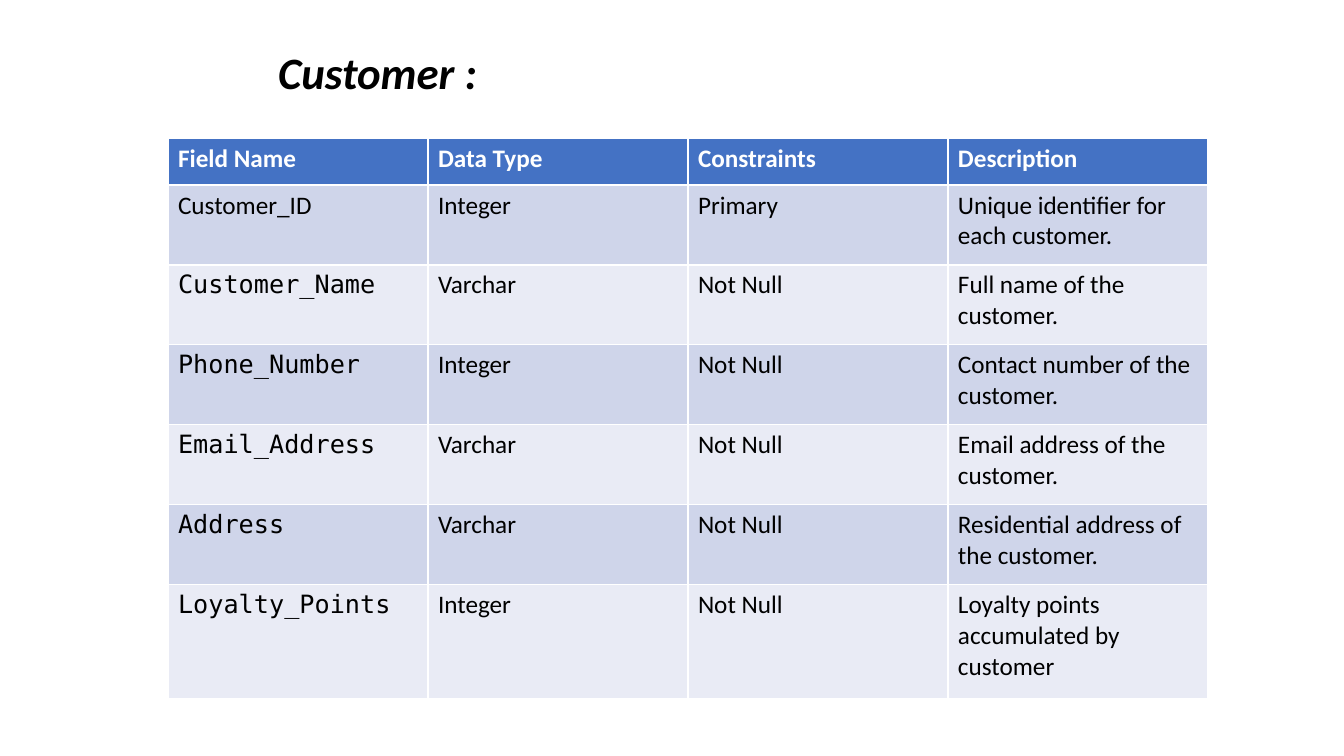
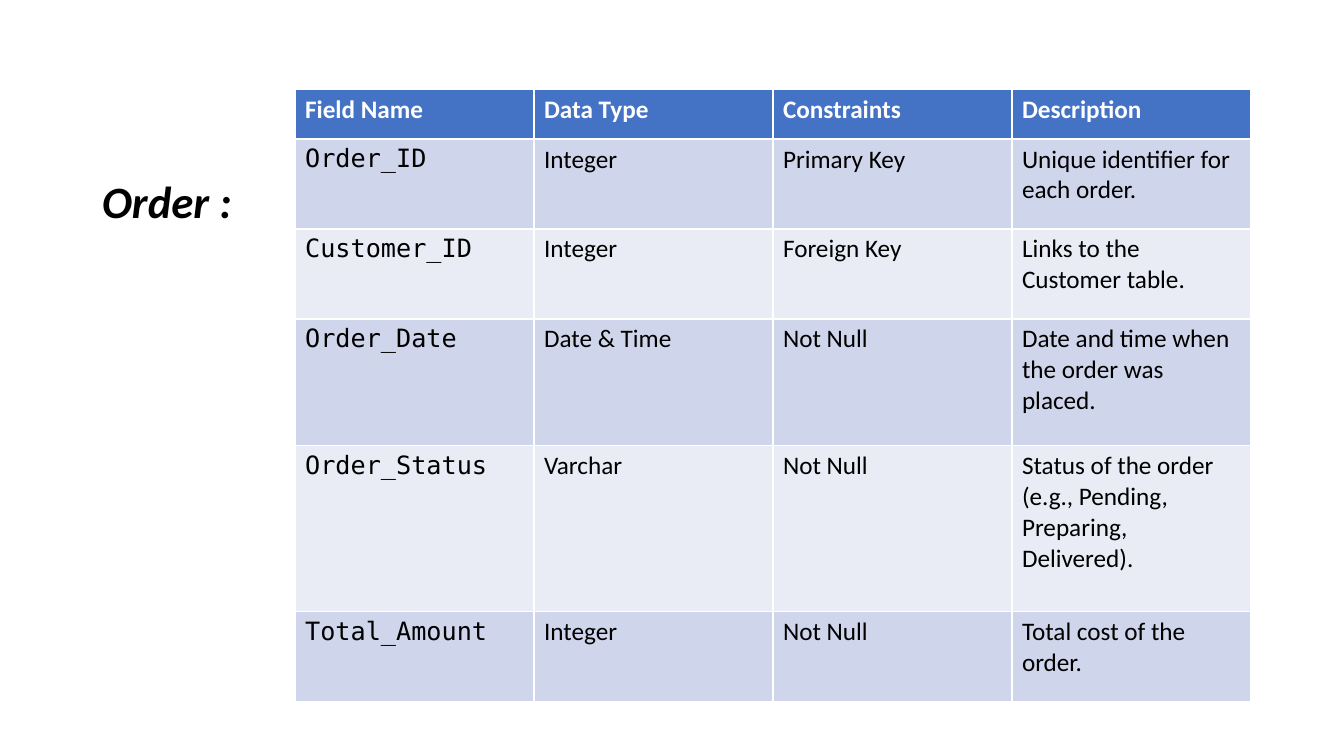
from pptx import Presentation
from pptx.dml.color import RGBColor
from pptx.enum.text import MSO_ANCHOR, MSO_AUTO_SIZE, PP_ALIGN
from pptx.util import Emu, Pt

PAGE_WIDTH, PAGE_HEIGHT = 1344, 756
EMU_PER_PX = 12192000 / PAGE_WIDTH
TITLE_ONLY = 5

BLACK = RGBColor(0x00, 0x00, 0x00)
WHITE = RGBColor(0xFF, 0xFF, 0xFF)
HEADER_BLUE = RGBColor(0x44, 0x72, 0xC4)
BAND_COLORS = (RGBColor(0xCF, 0xD5, 0xEA), RGBColor(0xE9, 0xEB, 0xF5))

TEXT_FONT = "Calibri"
CODE_FONT = "DejaVu Sans Mono"
HEADINGS = ("Field Name", "Data Type", "Constraints", "Description")

CUSTOMER_FIELDS = (
    ("Customer_ID", "Integer", "Primary", "Unique identifier for each customer."),
    ("Customer_Name", "Varchar", "Not Null", "Full name of the customer."),
    ("Phone_Number", "Integer", "Not Null", "Contact number of the customer."),
    ("Email_Address", "Varchar", "Not Null", "Email address of the customer."),
    ("Address", "Varchar", "Not Null", "Residential address of the customer."),
    ("Loyalty_Points", "Integer", "Not Null", "Loyalty points accumulated by customer"),
)
ORDER_FIELDS = (
    ("Order_ID", "Integer", "Primary Key", "Unique identifier for each order."),
    ("Customer_ID", "Integer", "Foreign Key", "Links to the Customer table."),
    ("Order_Date", "Date & Time", "Not Null", "Date and time when the order was placed."),
    ("Order_Status", "Varchar", "Not Null",
     "Status of the order (e.g., Pending, Preparing, Delivered)."),
    ("Total_Amount", "Integer", "Not Null", "Total cost of the order."),
)


def px(length):
    return Emu(round(length * EMU_PER_PX))


def set_font(para, size, color, name=TEXT_FONT, bold=False, italic=False):
    font = para.font
    font.name, font.size = name, Pt(size)
    font.bold, font.italic = bold, italic
    font.color.rgb = color


def place_title(page, text, box):
    title = page.shapes.title
    title.left, title.top, title.width, title.height = map(px, box)
    frame = title.text_frame
    frame.text = text
    frame.word_wrap = True
    frame.auto_size = MSO_AUTO_SIZE.NONE
    frame.vertical_anchor = MSO_ANCHOR.MIDDLE
    para = frame.paragraphs[0]
    para.alignment = PP_ALIGN.LEFT
    para.line_spacing = 0.9
    set_font(para, 32, BLACK, bold=True, italic=True)


def fill_cell(cell, text, color):
    cell.text = text
    cell.fill.solid()
    cell.fill.fore_color.rgb = color
    return cell.text_frame.paragraphs[0]


def place_field_table(page, fields, origin, column_width, row_heights, first_code_row):
    """Field names are set in the code font from first_code_row on."""
    left, top = origin
    columns = len(HEADINGS)
    table = page.shapes.add_table(
        len(row_heights), columns, px(left), px(top),
        px(column_width * columns), px(sum(row_heights))).table
    for column in table.columns:
        column.width = px(column_width)
    for row, height in zip(table.rows, row_heights):
        row.height = px(height)

    for column, heading in enumerate(HEADINGS):
        para = fill_cell(table.cell(0, column), heading, HEADER_BLUE)
        set_font(para, 18, WHITE, bold=True)
    for row, field in enumerate(fields, start=1):
        band = BAND_COLORS[(row - 1) % 2]
        for column, text in enumerate(field):
            is_code = column == 0 and row >= first_code_row
            para = fill_cell(table.cell(row, column), text, band)
            set_font(para, 18, BLACK, CODE_FONT if is_code else TEXT_FONT)


def add_entity_page(deck, title, title_box, **table_options):
    page = deck.slides.add_slide(deck.slide_layouts[TITLE_ONLY])
    place_title(page, title, title_box)
    place_field_table(page, **table_options)


def main():
    deck = Presentation()
    deck.slide_width, deck.slide_height = px(PAGE_WIDTH), px(PAGE_HEIGHT)
    add_entity_page(
        deck, "Customer :", (268, 19, 307, 112),
        fields=CUSTOMER_FIELDS, origin=(168, 138), column_width=260,
        row_heights=(47, 80, 80, 80, 80, 80, 114), first_code_row=2)
    add_entity_page(
        deck, "Order :", (92, 159, 160, 89),
        fields=ORDER_FIELDS, origin=(295, 89), column_width=239,
        row_heights=(50, 90, 90, 127, 166, 90), first_code_row=1)
    deck.save("out.pptx")


if __name__ == "__main__":
    main()
